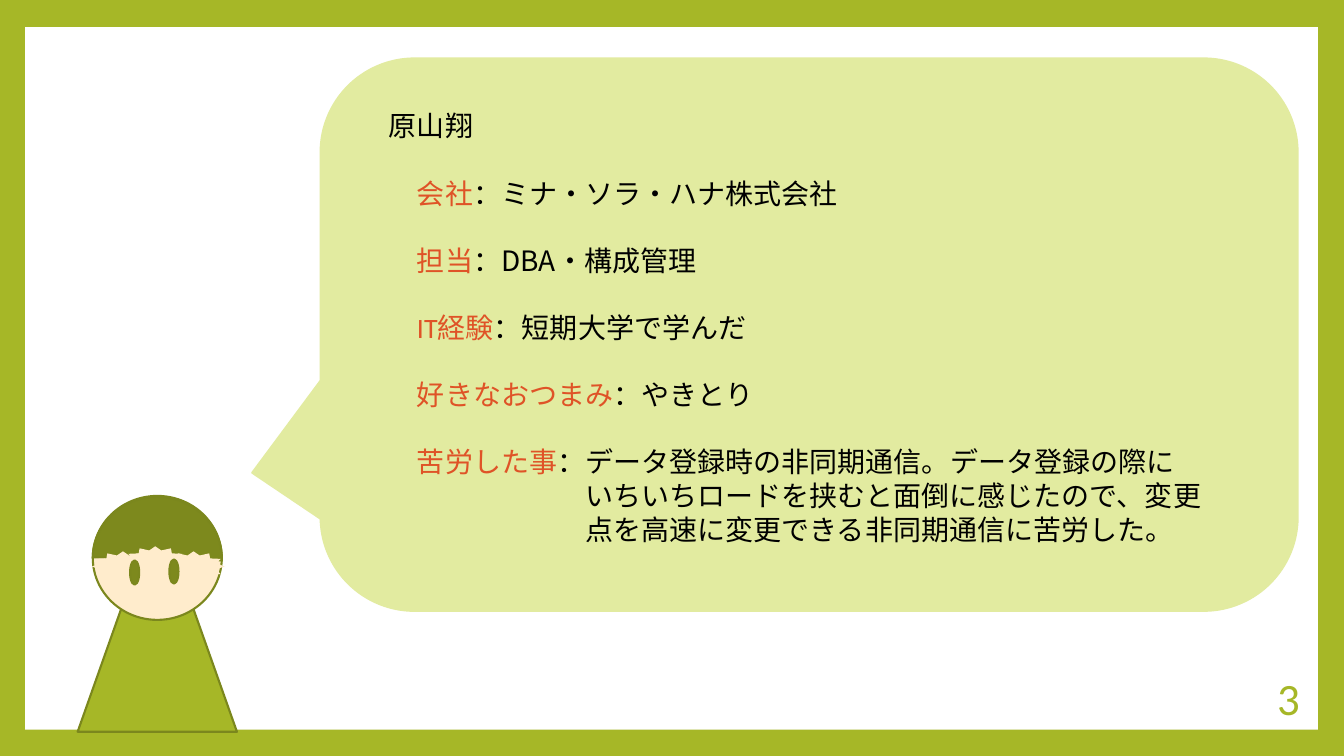
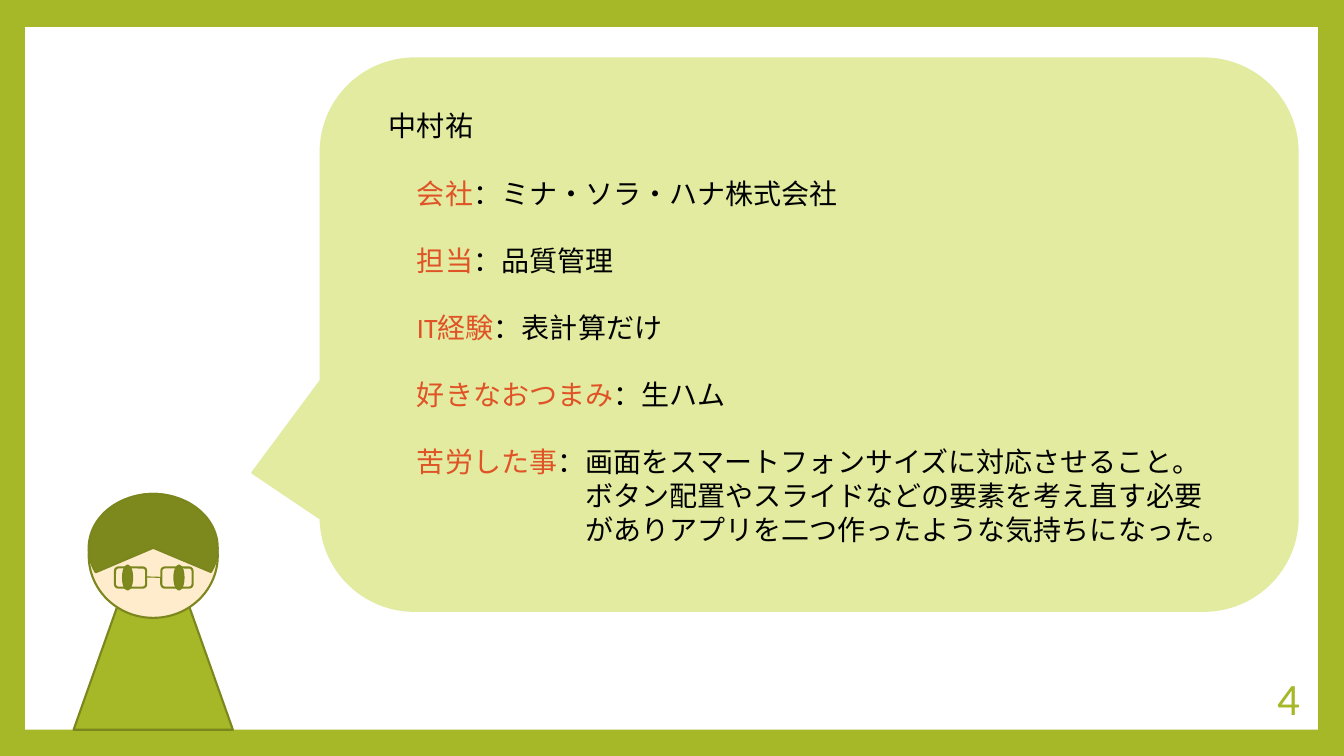
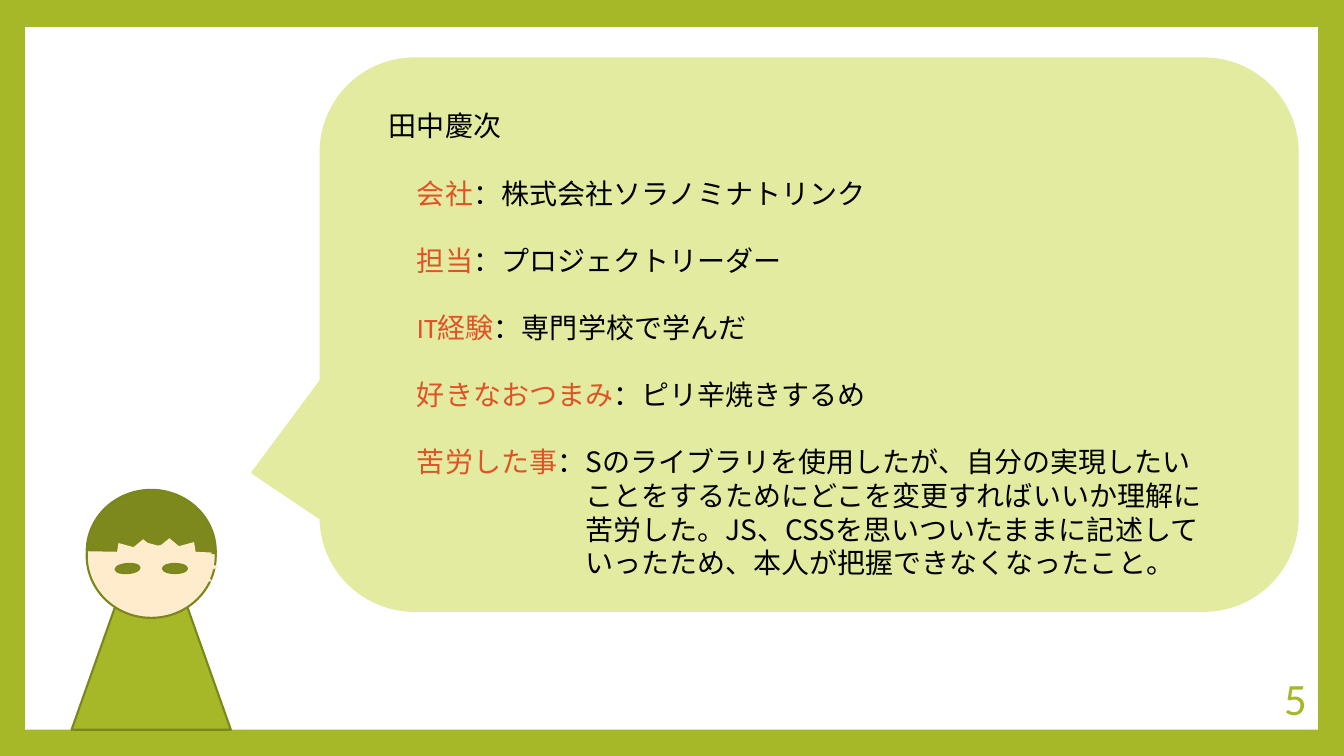
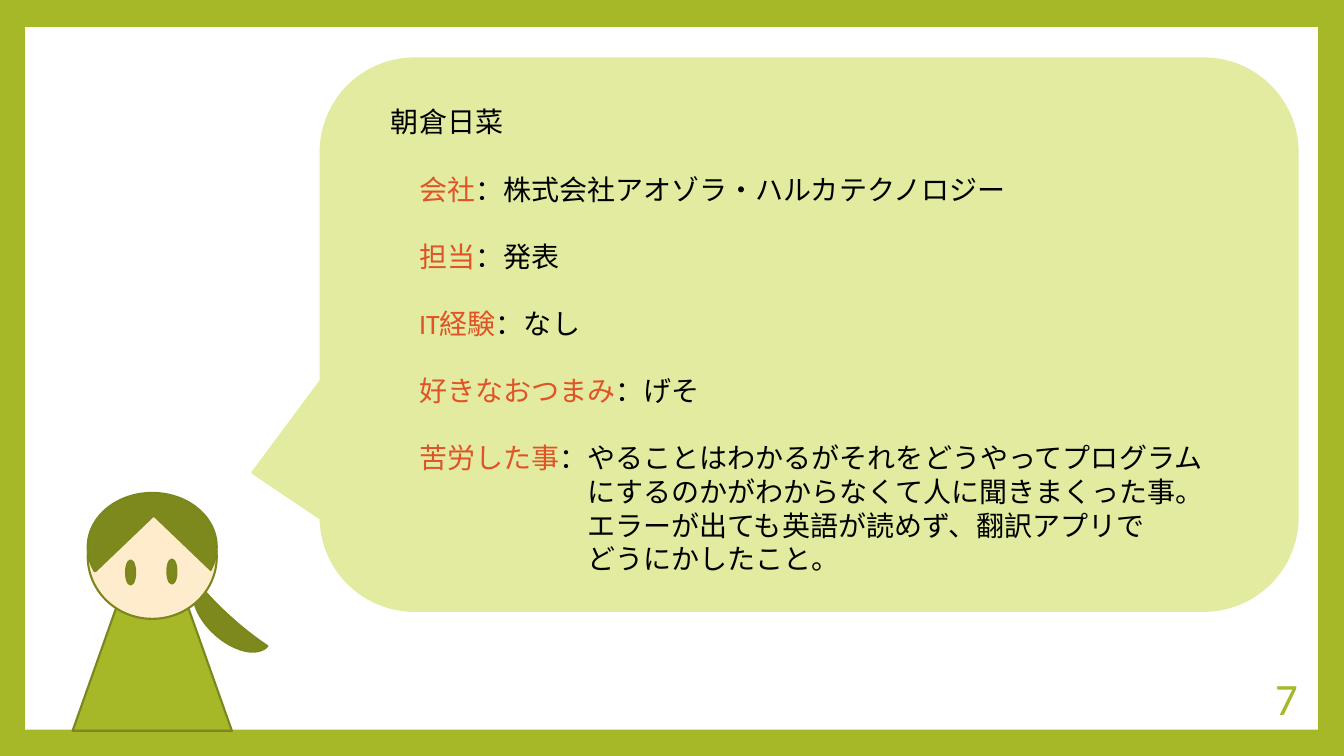
from lxml import etree
from pptx import Presentation
from pptx.dml.color import RGBColor
from pptx.enum.shapes import MSO_CONNECTOR as Connector, MSO_SHAPE as Preset
from pptx.enum.text import MSO_ANCHOR as Anchor, PP_ALIGN as Align
from pptx.oxml.ns import qn
from pptx.util import Inches, Pt

GREEN = RGBColor(0xA6, 0xB7, 0x27)
OUTLINE = RGBColor(0x7B, 0x87, 0x1D)
DARK = RGBColor(0x7D, 0x89, 0x1D)
SKIN = RGBColor(0xFF, 0xEC, 0xCC)
BUBBLE = RGBColor(0xE2, 0xEB, 0xA0)
ORANGE = RGBColor(0xDF, 0x53, 0x27)
BLACK = RGBColor(0, 0, 0)
WHITE = RGBColor(0xFF, 0xFF, 0xFF)

LATIN = "Calibri"
JAPANESE = "Noto Sans CJK JP"
TEXT_SIZE = 20
LINE_PITCH = 24
LABELS = ("会社", "担当", "IT経験", "好きなおつまみ", "苦労した事")

CROPPED = (108.63, 0.99)
PARTED = (94.18, 13.66)


def write(paragraph, text, size=TEXT_SIZE, color=BLACK, font=LATIN):
    """Add a run; a line feed in the text becomes a line break."""
    for number, line in enumerate(text.split("\n")):
        if number:
            paragraph.add_line_break()
        run = paragraph.add_run()
        run.text = line
        run.font.size = Pt(size)
        run.font.color.rgb = color
        run.font.name = font
        east_asian = etree.SubElement(run.font._element, qn("a:ea"))
        east_asian.set("typeface", JAPANESE)


class Deck:
    def __init__(self):
        self.presentation = Presentation()
        self.presentation.slide_width = Inches(13.33)
        self.presentation.slide_height = Inches(7.5)
        self.slide = None

    def new_slide(self):
        layout = self.presentation.slide_layouts[6]
        self.slide = self.presentation.slides.add_slide(layout)
        if len(self.presentation.slides) == 1:
            self.style_master()

    def style_master(self):
        """Give the master its green border and white panel."""
        master = self.presentation.slide_master
        master.background.fill.solid()
        master.background.fill.fore_color.rgb = GREEN
        panel = self.shape(Preset.RECTANGLE, 0.25, 0.27, 12.82, 6.97, WHITE)
        panel.element.xpath(".//p:cNvPr")[0].set("id", "100")
        master.shapes.element.insert(2, panel.element)

    def shape(self, preset, left, top, width, height, fill, line=None,
              adjustments=(), rotation=0):
        shape = self.slide.shapes.add_shape(
            preset, Inches(left), Inches(top), Inches(width), Inches(height))
        shape.shadow.inherit = False
        shape.fill.solid()
        shape.fill.fore_color.rgb = fill
        if line is None:
            shape.line.fill.background()
        else:
            shape.line.color.rgb = line
            shape.line.width = Pt(1.5)
        for index, value in enumerate(adjustments):
            shape.adjustments[index] = value
        shape.rotation = rotation
        return shape

    def line(self, start, end, color, width):
        connector = self.slide.shapes.add_connector(
            Connector.STRAIGHT, *(Inches(value) for value in start + end))
        connector.line.color.rgb = color
        connector.line.width = Pt(width)
        properties = connector.element.find(qn("p:spPr"))
        etree.SubElement(properties, qn("a:effectLst"))

    def text_frame(self, left, top, width, height):
        box = self.slide.shapes.add_textbox(
            Inches(left), Inches(top), Inches(width), Inches(height))
        box.text_frame.word_wrap = True
        return box.text_frame

    def body_and_head(self, left, top):
        """Draw the body and the head, whose top left corner is given."""
        self.shape(Preset.ISOSCELES_TRIANGLE, left - 0.15, top + 0.11,
                   1.58, 2.23, GREEN, OUTLINE)
        self.shape(Preset.OVAL, left, top, 1.28, 1.23, SKIN, OUTLINE)

    def hair(self, left, top, height, cut):
        self.shape(Preset.PIE, left, top, 1.28, height, DARK, OUTLINE, cut)

    def fringe(self, width, height, *places):
        """Cut a jagged hairline with skin-coloured stars."""
        for left, top in places:
            self.shape(Preset.STAR_12_POINT, left, top, width, height, SKIN)

    def eyes(self, *places, rotation=0):
        for left, top in places:
            self.shape(Preset.OVAL, left, top, 0.09, 0.24, DARK, OUTLINE,
                       rotation=rotation)

    def glasses(self):
        self.line((1.33, 5.72), (1.66, 5.73), DARK, 0.79)
        for left in (1.6, 1.14):
            self.shape(Preset.ROUNDED_RECTANGLE, left, 5.63, 0.31, 0.2,
                       SKIN, OUTLINE)

    def bubble(self):
        self.shape(Preset.ROUNDED_RECTANGULAR_CALLOUT, 3.18, 0.58, 9.69, 5.48,
                   BUBBLE, BUBBLE, (-0.57, 0.25, 0.17))

    def profile(self, name, answers, left=3.76, top=1.03):
        """Write the name, then one labelled answer a paragraph."""
        self.bubble()
        frame = self.text_frame(left, top, 8.6, 4.81)
        paragraph = frame.paragraphs[0]
        paragraph.line_spacing = Pt(LINE_PITCH)
        write(paragraph, name)
        for label, answer in zip(LABELS, answers):
            paragraph = frame.add_paragraph()
            paragraph.line_spacing = Pt(LINE_PITCH)
            paragraph.space_before = Pt(LINE_PITCH)
            hanging = len(label) + 1 if "\n" in answer else 0
            properties = paragraph._p.get_or_add_pPr()
            properties.set("marL", str(Pt((1 + hanging) * TEXT_SIZE)))
            properties.set("indent", str(-Pt(hanging * TEXT_SIZE)))
            write(paragraph, label, color=ORANGE)
            write(paragraph, "：")
            write(paragraph, answer, font=JAPANESE)

    def page_number(self, number, left=11.12):
        frame = self.text_frame(left, 6.72, 1.87, 0.4)
        frame.vertical_anchor = Anchor.MIDDLE
        paragraph = frame.paragraphs[0]
        paragraph.alignment = Align.RIGHT
        write(paragraph, str(number), size=32, color=GREEN)


def add_harayama(deck):
    deck.new_slide()
    deck.body_and_head(0.92, 4.92)
    deck.hair(0.92, 4.93, 1.22, CROPPED)
    deck.fringe(0.62, 0.3, (1.61, 5.47), (0.91, 5.47), (1.23, 5.42))
    deck.eyes((1.29, 5.56), (1.68, 5.55))
    deck.profile("原山翔", (
        "ミナ・ソラ・ハナ株式会社",
        "DBA・構成管理",
        "短期大学で学んだ",
        "やきとり",
        "データ登録時の非同期通信。データ登録の際に\n"
        "いちいちロードを挟むと面倒に感じたので、変更\n"
        "点を高速に変更できる非同期通信に苦労した。"))
    deck.page_number(3)


def add_nakamura(deck):
    deck.new_slide()
    deck.body_and_head(0.88, 4.9)
    deck.hair(0.88, 4.9, 1.07, PARTED)
    deck.glasses()
    deck.eyes((1.73, 5.61), (1.22, 5.61))
    deck.profile("中村祐", (
        "ミナ・ソラ・ハナ株式会社",
        "品質管理",
        "表計算だけ",
        "生ハム",
        "画面をスマートフォンサイズに対応させること。\n"
        "ボタン配置やスライドなどの要素を考え直す必要\n"
        "がありアプリを二つ作ったような気持ちになった。"))
    deck.page_number(4)


def add_tanaka(deck):
    deck.new_slide()
    deck.body_and_head(0.86, 4.9)
    deck.hair(0.86, 4.86, 1.22, CROPPED)
    deck.fringe(0.98, 0.57, (1.19, 5.34), (0.93, 5.35))
    deck.eyes((1.69, 5.52), rotation=90)
    deck.eyes((1.22, 5.52), rotation=85.8)
    deck.profile("田中慶次", (
        "株式会社ソラノミナトリンク",
        "プロジェクトリーダー",
        "専門学校で学んだ",
        "ピリ辛焼きするめ",
        "Sのライブラリを使用したが、自分の実現したい\n"
        "ことをするためにどこを変更すればいいか理解に\n"
        "苦労した。JS、CSSを思いついたままに記述して\n"
        "いったため、本人が把握できなくなったこと。"))
    deck.page_number(5, left=11.19)


def add_asakura(deck):
    deck.new_slide()
    deck.shape(Preset.MOON, 2.09, 5.73, 0.26, 0.93, DARK, OUTLINE,
               (0.88,), rotation=312.1)
    deck.body_and_head(0.87, 4.91)
    deck.hair(0.87, 4.89, 1.07, PARTED)
    deck.shape(Preset.ISOSCELES_TRIANGLE, 0.94, 5.13, 1.17, 0.56, SKIN)
    deck.eyes((1.66, 5.55), (1.25, 5.56))
    deck.profile("朝倉日菜", (
        "株式会社アオゾラ・ハルカテクノロジー",
        "発表",
        "なし",
        "げそ",
        "やることはわかるがそれをどうやってプログラム\n"
        "にするのかがわからなくて人に聞きまくった事。\n"
        "エラーが出ても英語が読めず、翻訳アプリで\n"
        "どうにかしたこと。"), left=3.78, top=0.99)
    deck.page_number(7, left=11.1)


def main():
    deck = Deck()
    for add_slide in (add_harayama, add_nakamura, add_tanaka, add_asakura):
        add_slide(deck)
    deck.presentation.save("out.pptx")


if __name__ == "__main__":
    main()
